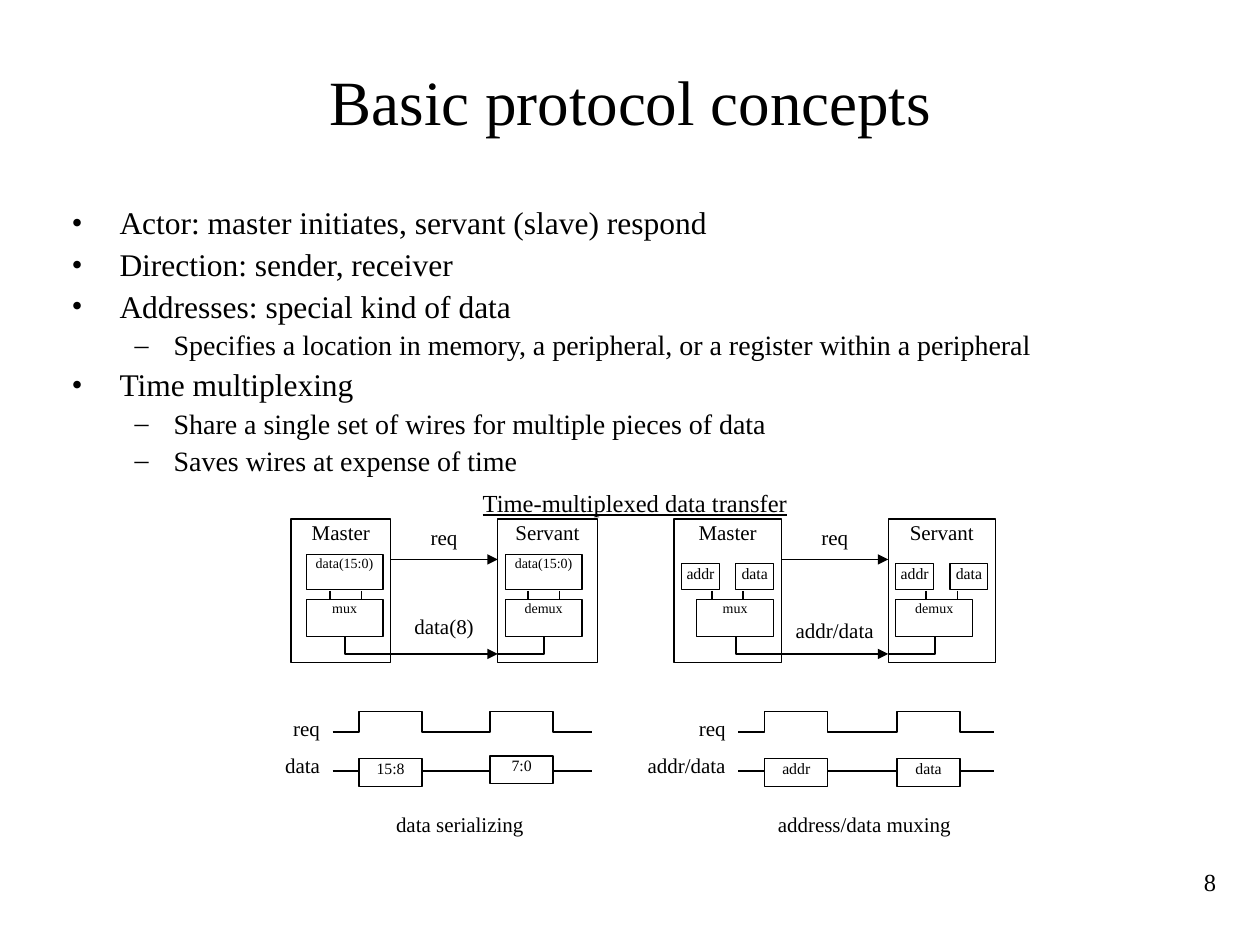
from lxml.etree import SubElement
from pptx import Presentation
from pptx.dml.color import RGBColor
from pptx.enum.shapes import MSO_CONNECTOR, MSO_SHAPE
from pptx.enum.text import MSO_ANCHOR, PP_ALIGN
from pptx.oxml.ns import qn
from pptx.util import Inches, Pt

BLACK = RGBColor(0, 0, 0)
WHITE = RGBColor(255, 255, 255)
FONT = "Times New Roman"
CENTER, RIGHT = PP_ALIGN.CENTER, PP_ALIGN.RIGHT

BULLETS = [
    (0, "Actor: master initiates, servant (slave) respond"),
    (0, "Direction: sender, receiver"),
    (0, "Addresses: special kind of data"),
    (1, "Specifies a location in memory, a peripheral, or a register within a peripheral"),
    (0, "Time multiplexing"),
    (1, "Share a single set of wires for multiple pieces of data"),
    (1, "Saves wires at expense of time"),
]
# Per level: mark, size, left margin, hanging indent
LEVELS = [("•", 18, 0.38, 0.38), ("–", 16, 0.81, 0.31)]


def put_text(sp, text, size=12, align=CENTER, inset=(0, 0), anchor=MSO_ANCHOR.TOP,
             underline=None):
    tf = sp.text_frame
    tf.word_wrap = True
    tf.vertical_anchor = anchor
    tf.margin_left = tf.margin_right = Inches(inset[0])
    tf.margin_top = tf.margin_bottom = Inches(inset[1])
    p = tf.paragraphs[0]
    p.alignment = align
    write_run(p, text, size, underline)


def write_run(p, text, size, underline=None):
    r = p.add_run()
    r.text = text
    r.font.name = FONT
    r.font.size = Pt(size)
    r.font.color.rgb = BLACK
    r.font.underline = underline


def label(s, x, y, w, h, text, **fmt):
    sp = s.shapes.add_textbox(Inches(x), Inches(y), Inches(w), Inches(h))
    put_text(sp, text, **fmt)


def box(s, x, y, w, h, text, size=12, fill=None):
    sp = s.shapes.add_shape(MSO_SHAPE.RECTANGLE, Inches(x), Inches(y), Inches(w), Inches(h))
    sp.shadow.inherit = False
    if fill is None:
        sp.fill.background()
    else:
        sp.fill.solid()
        sp.fill.fore_color.rgb = fill
    sp.line.color.rgb = BLACK
    sp.line.width = Pt(0.75)
    put_text(sp, text, size)


def line(s, x1, y1, x2, y2, width=0.75, arrow=False):
    cn = s.shapes.add_connector(MSO_CONNECTOR.STRAIGHT, Inches(x1), Inches(y1),
                                Inches(x2), Inches(y2))
    cn.line.color.rgb = BLACK
    cn.line.width = Pt(width)
    if arrow:
        SubElement(cn.line._get_or_add_ln(), qn("a:tailEnd"), type="triangle")
    SubElement(cn._element.spPr, qn("a:effectLst"))


def polyline(s, points, width=0.75):
    pts = [(Inches(x), Inches(y)) for x, y in points]
    fb = s.shapes.build_freeform(*pts[0])
    fb.add_line_segments(pts[1:], close=False)
    sp = fb.convert_to_shape()
    sp.shadow.inherit = False
    sp.fill.background()
    sp.line.color.rgb = BLACK
    sp.line.width = Pt(width)


def bullet_list(s, x, y, w, h):
    tf = s.shapes.add_textbox(Inches(x), Inches(y), Inches(w), Inches(h)).text_frame
    tf.word_wrap = True
    for i, (level, text) in enumerate(BULLETS):
        mark, size, margin, hang = LEVELS[level]
        p = tf.paragraphs[0] if i == 0 else tf.add_paragraph()
        p.level = level
        p.line_spacing = 0.9
        p.space_before = Pt(0 if i == 0 else size * 0.24)
        pPr = p._p.get_or_add_pPr()
        pPr.set("marL", str(Inches(margin)))
        pPr.set("indent", str(-Inches(hang)))
        SubElement(pPr, qn("a:buFont"), typeface=FONT)
        SubElement(pPr, qn("a:buChar"), char=mark)
        write_run(p, text, size)


def actor(s, x, y, w, name, selector, selector_dx, registers, stub_dx, wire_x):
    """One bus party; registers are (dx, text), wire_x is the edge its bus leaves by."""
    box(s, x, y, w, 1.14, name, fill=WHITE)
    single = len(registers) == 1
    for dx, text in registers:
        if single:
            box(s, x + dx, y + 0.28, 0.61, 0.28, text, 8)
        else:
            box(s, x + dx, y + 0.35, 0.3, 0.21, text, 9)
    sx = x + selector_dx
    box(s, sx, y + 0.64, 0.61, 0.29, selector, 8)
    for dx in (stub_dx, stub_dx + 0.25):
        line(s, x + dx, y + 0.57, x + dx, y + 0.64, 1)
    mid = sx + 0.31
    polyline(s, [(wire_x, y + 1.07), (mid, y + 1.07), (mid, y + 0.93)], 1)


def transfer(s, x, y, w, gap, bus, bus_dy, master, servant):
    """Master and servant joined by the req and bus arrows."""
    left, right = x + w, x + w + gap
    actor(s, x, y, w, "Master", "mux", wire_x=left, **master)
    actor(s, right, y, w, "Servant", "demux", wire_x=right, **servant)
    line(s, left, y + 0.32, right, y + 0.32, arrow=True)
    line(s, left, y + 1.07, right, y + 1.07, 1, arrow=True)
    label(s, left, y + 0.04, gap, 0.29, "req")
    label(s, left, y + bus_dy, gap, 0.28, bus)


def timing(s, x, y, w, bus, cells):
    """Req pulses above bus cells; cells are (dx, dy, text)."""
    for dy, text in ((0.03, "req"), (0.32, bus)):
        label(s, x - 0.8, y + dy, 0.7, 0.29, text, align=RIGHT)
    low, bus_y, pulse = y + 0.16, y + 0.47, 0.5
    wave, start = [(x, low)], x
    for dx, dy, text in cells:
        a, b = x + dx, x + dx + pulse
        wave += [(a, low), (a, y), (b, y), (b, low)]
        line(s, start, bus_y, a, bus_y)
        box(s, a, y + dy, pulse, 0.22, text, 9)
        start = b
    line(s, start, bus_y, x + w, bus_y)
    polyline(s, wave + [(x + w, low)])


def main():
    prs = Presentation()
    prs.slide_width, prs.slide_height = Inches(10), Inches(7.5)
    s = prs.slides.add_slide(prs.slide_layouts[6])

    label(s, 0.42, 0.17, 9.17, 1.25, "Basic protocol concepts", size=36,
          inset=(0, 0.05), anchor=MSO_ANCHOR.MIDDLE)
    bullet_list(s, 0.47, 1.6, 9.09, 2.3)

    transfer(s, 2.31, 4.12, 0.79, 0.85, "data(8)", 0.75,
             dict(selector_dx=0.12, registers=[(0.12, "data(15:0)")], stub_dx=0.31),
             dict(selector_dx=0.06, registers=[(0.06, "data(15:0)")], stub_dx=0.24))
    pair = [(0.06, "addr"), (0.49, "data")]
    transfer(s, 5.35, 4.12, 0.85, 0.85, "addr/data", 0.78,
             dict(selector_dx=0.18, registers=pair, stub_dx=0.3),
             dict(selector_dx=0.06, registers=pair, stub_dx=0.3))
    label(s, 3.48, 3.87, 3.12, 0.23, "Time-multiplexed data transfer", size=14,
          underline=True)

    timing(s, 2.64, 5.65, 2.06, "data", [(0.21, 0.37, "15:8"), (1.25, 0.35, "7:0")])
    timing(s, 5.86, 5.65, 2.03, "addr/data", [(0.21, 0.37, "addr"), (1.26, 0.37, "data")])
    label(s, 2.93, 6.44, 1.44, 0.22, "data serializing")
    label(s, 5.85, 6.44, 2.02, 0.22, "address/data muxing")

    label(s, 8.75, 6.83, 1, 0.5, "8", size=14, align=RIGHT, inset=(0.1, 0.05))
    prs.save("out.pptx")


if __name__ == "__main__":
    main()
